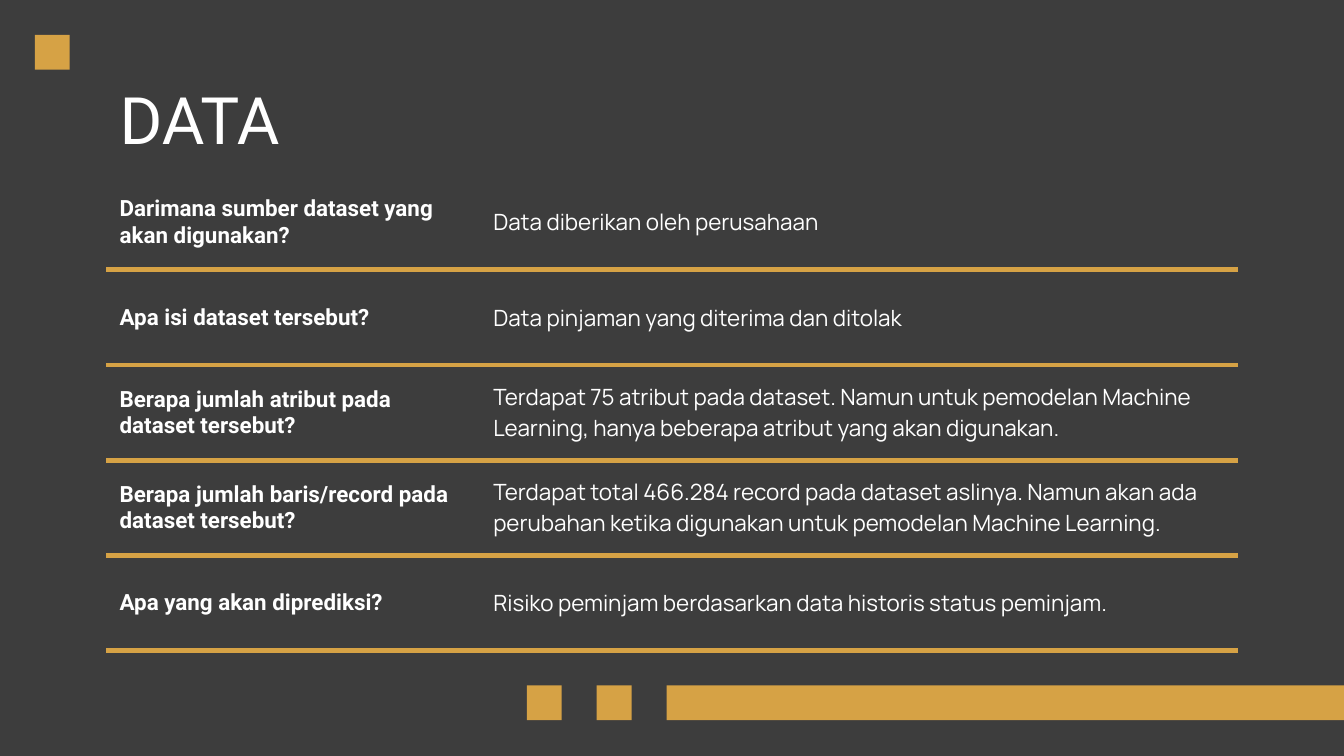
import pptx
import pptx.util
import pptx.dml.color
import pptx.enum.shapes
import pptx.enum.text
import pptx.oxml
import pptx.oxml.ns

Inches = pptx.util.Inches
Pt = pptx.util.Pt
Anchor = pptx.enum.text.MSO_ANCHOR

TITLE = "DATA"
QUESTIONS = [
    ("Darimana sumber dataset yang akan digunakan?",
     "Data diberikan oleh perusahaan"),
    ("Apa isi dataset tersebut?",
     "Data pinjaman yang diterima dan ditolak"),
    ("Berapa jumlah atribut pada dataset tersebut?",
     "Terdapat 75 atribut pada dataset. Namun untuk pemodelan Machine Learning, "
     "hanya beberapa atribut yang akan digunakan."),
    ("Berapa jumlah baris/record pada dataset tersebut?",
     "Terdapat total 466.284 record pada dataset aslinya. Namun akan ada "
     "perubahan ketika digunakan untuk pemodelan Machine Learning."),
    ("Apa yang akan diprediksi?",
     "Risiko peminjam berdasarkan data historis status peminjam."),
]

THEME = {
    "background": "3D3D3D", "accent": "D6A245", "text": "FFFFFF",
    "heading_font": "Roboto", "body_font": "Manrope",
    "title_size": 35, "cell_size": 12, "rule_width": 3,
}
NO_STYLE = "{2D5ABB26-0587-4C30-8999-92F81FD0307C}"

SLIDE_W = 10
SLIDE_H = SLIDE_W * 9 / 16
SQUARE = 0.26
LEFT, WIDTH = 0.79, 8.43
TABLE_TOP, TABLE_H = 1.3, 3.54
COLUMNS = (2.78, 5.64)
BAND_LEFT, BAND_TOP = 4.96, 5.1


def rgb(name):
    return pptx.dml.color.RGBColor.from_string(THEME[name])


def write(frame, text, size="cell_size", font="body_font", bold=False, after=0):
    frame.text = text
    paragraph = frame.paragraphs[0]
    paragraph.alignment = pptx.enum.text.PP_ALIGN.LEFT
    paragraph.space_after = Pt(after)
    style = paragraph.runs[0].font
    style.size, style.name, style.bold = Pt(THEME[size]), THEME[font], bold
    style.color.rgb = rgb("text")


def add_block(slide, left, top, width=SQUARE):
    block = slide.shapes.add_shape(
        pptx.enum.shapes.MSO_SHAPE.RECTANGLE,
        Inches(left), Inches(top), Inches(width), Inches(SQUARE))
    block.shadow.inherit = False
    block.fill.solid()
    block.fill.fore_color.rgb = rgb("accent")
    block.line.fill.background()


def underline(cell):
    rule = pptx.oxml.parse_xml(
        f'<a:lnB {pptx.oxml.ns.nsdecls("a")} w="{Pt(THEME["rule_width"])}">'
        f'<a:solidFill><a:srgbClr val="{THEME["accent"]}"/></a:solidFill></a:lnB>')
    cell._tc.get_or_add_tcPr().insert(0, rule)


def add_title(slide):
    title = slide.shapes.title
    title.left, title.top = Inches(LEFT), Inches(0.49)
    title.width, title.height = Inches(WIDTH), Inches(0.63)
    frame = title.text_frame
    frame.margin_left = frame.margin_right = Inches(0.1)
    frame.margin_top = frame.margin_bottom = Inches(0.1)
    frame.vertical_anchor = Anchor.TOP
    frame.auto_size = pptx.enum.text.MSO_AUTO_SIZE.NONE
    write(frame, TITLE, size="title_size", font="heading_font")


def add_questions(slide):
    frame = slide.shapes.add_table(
        len(QUESTIONS), len(COLUMNS), Inches(LEFT), Inches(TABLE_TOP),
        Inches(sum(COLUMNS)), Inches(TABLE_H))
    table = frame.table
    table.first_row = table.horz_banding = False
    table._tbl.tblPr.find(pptx.oxml.ns.qn("a:tableStyleId")).text = NO_STYLE
    for column, width in zip(table.columns, COLUMNS):
        column.width = Inches(width)
    for row, (question, answer) in zip(table.rows, QUESTIONS):
        row.height = Inches(TABLE_H / len(QUESTIONS))
        question_cell, answer_cell = row.cells
        write(question_cell.text_frame, question, font="heading_font", bold=True)
        write(answer_cell.text_frame, answer, after=16)
        for cell in (question_cell, answer_cell):
            cell.margin_left = cell.margin_right = Inches(0.1)
            cell.margin_top = cell.margin_bottom = 0
            cell.vertical_anchor = Anchor.MIDDLE
            cell.fill.background()
            underline(cell)


def main():
    deck = pptx.Presentation()
    deck.slide_width, deck.slide_height = Inches(SLIDE_W), Inches(SLIDE_H)
    slide = deck.slides.add_slide(deck.slide_layouts[5])
    slide.background.fill.solid()
    slide.background.fill.fore_color.rgb = rgb("background")

    add_block(slide, BAND_LEFT, BAND_TOP, SLIDE_W - BAND_LEFT)
    for step in (2, 1):
        add_block(slide, BAND_LEFT - 2 * SQUARE * step, BAND_TOP)
    add_block(slide, SQUARE, SQUARE)
    add_title(slide)
    add_questions(slide)
    deck.save("out.pptx")


if __name__ == "__main__":
    main()
